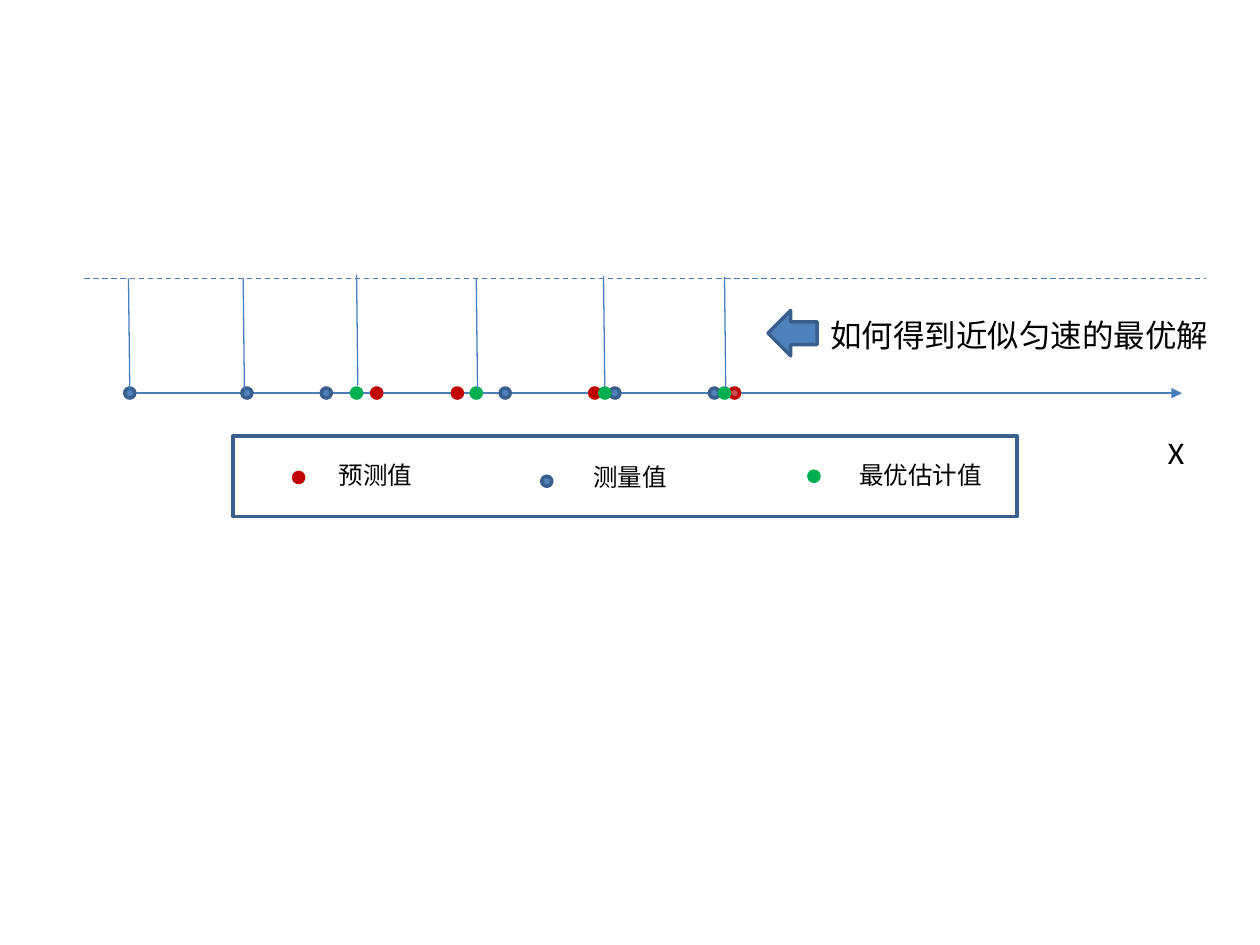
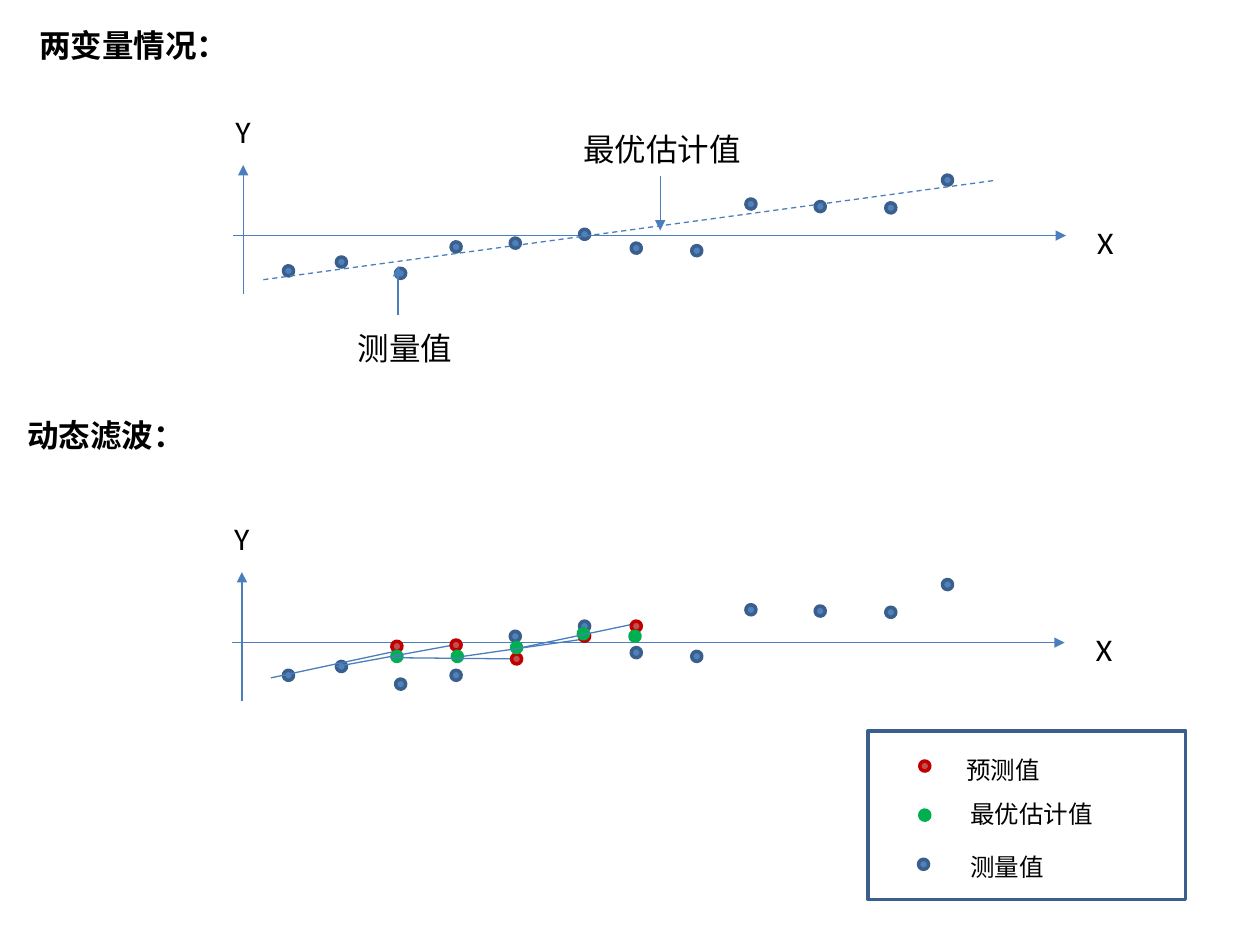
from pptx import Presentation
from pptx.dml.color import RGBColor
from pptx.enum.dml import MSO_LINE
from pptx.enum.shapes import MSO_CONNECTOR, MSO_SHAPE as Kind
from pptx.enum.text import MSO_ANCHOR, MSO_AUTO_SIZE as Auto, PP_ALIGN as Align
from pptx.oxml.ns import qn
from pptx.util import Inches, Pt
from lxml.etree import SubElement

BLACK = RGBColor(0x00, 0x00, 0x00)
BLUE = RGBColor(0x4F, 0x81, 0xBD)
NAVY = RGBColor(0x3A, 0x5F, 0x8C)
STEEL = RGBColor(0x4B, 0x7E, 0xBC)
RED = RGBColor(0xC0, 0x00, 0x00)
ROSE = RGBColor(0xC0, 0x50, 0x4D)
GREEN = RGBColor(0x00, 0xB0, 0x50)

# Dot styles: fill and outline
MEAS = (BLUE, NAVY)
PRED = (RED, RED)
SOFT = (ROSE, RED)
BEST = (GREEN, GREEN)
DOT = 0.08
SANS, HEAD = "Calibri", "Noto Sans CJK SC"

# Slide 1: dots on one axis, back to front
ROW = 3.08
TRACK = [
    (MEAS, [0.99, 1.92, 2.55, 3.97, 4.84, 5.63]),
    (PRED, [2.95, 3.59, 4.68]),
    (SOFT, [5.79]),
    (BEST, [2.79, 3.74, 4.76, 5.71]),
]
TICKS = [(1.03, 3.09), (1.94, 3.09), (2.84, 3.06),
         (3.79, 3.09), (4.80, 3.07), (5.76, 3.08)]
TICK = 0.88
# Legends: label, style, dot place, label place, label width
KEY1 = [
    ("预测值", PRED, (2.33, 3.75), (2.59, 3.60), 0.79),
    ("测量值", MEAS, (4.30, 3.78), (4.61, 3.62), 0.79),
    ("最优估计值", BEST, (6.42, 3.74), (6.72, 3.60), 1.18),
]

# Slide 2: static fit above, dynamic filter below
COLS = [2.25, 2.67, 3.14, 3.58, 4.05, 4.60, 5.01, 5.49, 5.92, 6.47, 7.03, 7.48]
FIT = [2.11, 2.04, 2.13, 1.92, 1.89, 1.82, 1.93, 1.95, 1.58, 1.60, 1.61, 1.39]
FLOW = [5.32, 5.25, 5.39, 5.32, 5.01, 4.93, 5.14, 5.17, 4.80, 4.81, 4.82, 4.60]
# Filter steps: line start, line end, prediction, estimate
STEPS = [
    ((2.15, 5.38), (3.18, 5.16), (3.11, 5.09), (3.11, 5.17)),
    ((2.67, 5.29), (3.65, 5.11), (3.58, 5.08), (3.59, 5.17)),
    ((3.11, 5.22), (4.14, 5.23), (4.06, 5.19), (4.06, 5.10)),
    ((3.67, 5.21), (4.65, 5.07), (4.60, 5.01), (4.59, 4.99)),
    ((4.14, 5.14), (5.09, 4.94), (5.01, 4.93), (5.00, 5.01)),
]
NOTES = [
    ("测量值", (2.74, 2.56), 0.96, (3.16, 2.50), (3.16, 2.11)),
    ("最优估计值", (4.53, 0.98), 1.46, (5.24, 1.40), (5.24, 1.83)),
]
KEY2 = [
    ("预测值", SOFT, (7.30, 6.04), (7.57, 5.94), 0.79),
    ("最优估计值", BEST, (7.30, 6.43), (7.60, 6.29), 1.18),
    ("测量值", MEAS, (7.29, 6.82), (7.60, 6.71), 0.79),
]


def put(shapes, kind, x, y, w, h, fill=None, edge=NAVY):
    shape = shapes.add_shape(kind, Inches(x), Inches(y), Inches(w), Inches(h))
    shape.shadow.inherit = False
    if fill is None:
        shape.fill.background()
    else:
        shape.fill.solid()
        shape.fill.fore_color.rgb = fill
    shape.line.color.rgb = edge
    shape.line.width = Pt(2)
    return shape


def dot(shapes, spot, style):
    put(shapes, Kind.OVAL, *spot, DOT, DOT, *style).rotation = 353


def line(shapes, start, end, arrow=False, dash=False):
    ends = [Inches(v) for v in (*start, *end)]
    wire = shapes.add_connector(MSO_CONNECTOR.STRAIGHT, *ends)
    wire.line.color.rgb = STEEL
    wire.line.width = Pt(0.75)
    if dash:
        wire.line.dash_style = MSO_LINE.DASH
    if arrow:
        SubElement(wire.line._get_or_add_ln(), qn("a:tailEnd"), type="triangle")
    SubElement(wire._element.spPr, qn("a:effectLst"))


def write(box, text, spot, w, size=18, face=SANS, bold=False):
    box.left, box.top = (Inches(v) for v in spot)
    box.width, box.height = Inches(w), Inches(0.4 if size == 18 else 0.34)
    frame = box.text_frame
    frame.text = text
    frame.word_wrap = False
    frame.auto_size = Auto.SHAPE_TO_FIT_TEXT
    frame.vertical_anchor = MSO_ANCHOR.TOP
    para = frame.paragraphs[0]
    para.alignment = Align.LEFT
    font = para.font
    font.name, font.size, font.bold = face, Pt(size), bold
    font.color.rgb = BLACK


def label(shapes, text, spot, w, **look):
    write(shapes.add_textbox(0, 0, 0, 0), text, spot, w, **look)


def legend(shapes, frame, rows):
    put(shapes, Kind.RECTANGLE, *frame)
    for text, style, spot, place, w in rows:
        dot(shapes, spot, style)
        label(shapes, text, place, w, size=14)


def axes(shapes, x, y):
    line(shapes, (x, y), (x + 6.61, y), arrow=True)
    line(shapes, (x + 0.08, y + 0.46), (x + 0.08, y - 0.56), arrow=True)
    label(shapes, "X", (x + 6.76, y - 0.15), 0.33)
    label(shapes, "Y", (x - 0.08, y - 1.03), 0.32)


def track(deck):
    shapes = deck.slides.add_slide(deck.slide_layouts[6]).shapes
    # Axis and dots
    line(shapes, (1.03, 3.12), (9.38, 3.12), arrow=True)
    label(shapes, "X", (9.17, 3.39), 0.33)
    for style, places in TRACK:
        for x in places:
            dot(shapes, (x, ROW), style)
    legend(shapes, (1.85, 3.46, 6.22, 0.64), KEY1)
    # Guide lines
    line(shapes, (0.67, 2.21), (9.57, 2.21), dash=True)
    for x, y in TICKS:
        line(shapes, (x, y), (x - 0.01, y - TICK))
    # Question
    put(shapes, Kind.DOWN_ARROW, 6.11, 2.45, 0.36, 0.39, BLUE).rotation = 90
    label(shapes, "如何得到近似匀速的最优解", (6.49, 2.46), 3.23)


def plane(deck):
    shapes = deck.slides.add_slide(deck.slide_layouts[5]).shapes
    write(shapes.title, "两变量情况：", (0.21, 0.16), 1.72, face=HEAD, bold=True)
    # Static fit
    axes(shapes, 1.85, 1.87)
    group = shapes.add_group_shape()
    for spot in zip(COLS, FIT):
        dot(group.shapes, spot, MEAS)
    line(shapes, (2.09, 2.22), (7.91, 1.43), dash=True)
    for text, place, w, start, end in NOTES:
        line(shapes, start, end, arrow=True)
        label(shapes, text, place, w)
    # Dynamic filter
    label(shapes, "动态滤波：", (0.12, 3.25), 1.46, face=HEAD, bold=True)
    axes(shapes, 1.84, 5.1)
    for spot in zip(COLS, FLOW):
        dot(shapes, spot, MEAS)
    for start, end, guess, best in STEPS:
        line(shapes, start, end)
        dot(shapes, guess, SOFT)
        dot(shapes, best, BEST)
    legend(shapes, (6.89, 5.8, 2.52, 1.34), KEY2)


def main():
    deck = Presentation()
    deck.slide_width, deck.slide_height = Inches(10), Inches(7.5)
    track(deck)
    plane(deck)
    deck.save("out.pptx")


if __name__ == "__main__":
    main()
